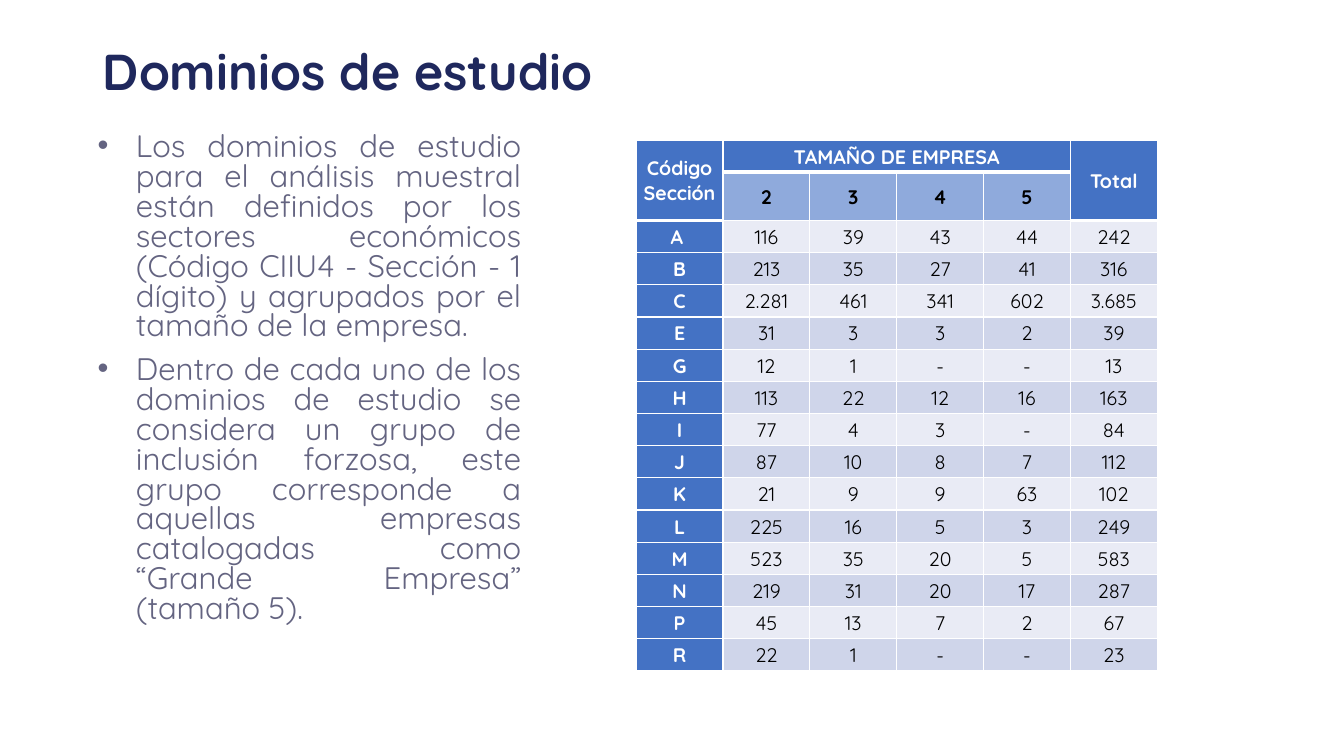
"""Build the slide on study domains with a table of counts by section and company size."""
from dataclasses import dataclass

from lxml.etree import SubElement
from pptx import Presentation
from pptx.dml.color import RGBColor
from pptx.enum.text import MSO_ANCHOR as ANCHOR, PP_ALIGN as ALIGN
from pptx.oxml.ns import qn
from pptx.slide import Slide
from pptx.table import _Cell as Cell
from pptx.text.text import TextFrame, _Paragraph as Paragraph
from pptx.util import Inches, Pt

FONT = "Quicksand"
NAVY = RGBColor(0x1F, 0x28, 0x5D)
SLATE = RGBColor(0x64, 0x64, 0x81)
BLUE = RGBColor(0x44, 0x72, 0xC4)
LIGHT_BLUE = RGBColor(0x8F, 0xAA, 0xDC)
BANDS = (RGBColor(0xE9, 0xEB, 0xF5), RGBColor(0xCF, 0xD5, 0xEA))
WHITE = RGBColor(0xFF, 0xFF, 0xFF)
BLACK = RGBColor(0x00, 0x00, 0x00)

BULLETS = (
    "Los dominios de estudio para el análisis muestral están definidos por los "
    "sectores económicos (Código CIIU4 - Sección - 1 dígito) y agrupados por el "
    "tamaño de la empresa.",
    "Dentro de cada uno de los dominios de estudio se considera un grupo de "
    "inclusión forzosa, este grupo corresponde a aquellas empresas catalogadas "
    "como “Grande Empresa” (tamaño 5).",
)
ROWS = (
    ("Código Sección", "TAMAÑO DE EMPRESA", "", "", "", "Total"),
    ("", "2", "3", "4", "5", ""),
    ("A ", "116", "39", "43", "44", "242"),
    ("B", "213", "35", "27", "41", "316"),
    ("C", "2.281", "461", "341", "602", "3.685"),
    ("E", "31", "3", "3", "2", "39"),
    ("G", "12", "1", "-", "-", "13"),
    ("H", "113", "22", "12", "16", "163"),
    ("I", "77", "4", "3", "-", "84"),
    ("J", "87", "10", "8", "7", "112"),
    ("K", "21", "9", "9", "63", "102"),
    ("L", "225", "16", "5", "3", "249"),
    ("M", "523", "35", "20", "5", "583"),
    ("N", "219", "31", "20", "17", "287"),
    ("P", "45", "13", "7", "2", "67"),
    ("R", "22", "1", "-", "-", "23"),
)
MERGES = (((0, 0), (1, 0)), ((0, 1), (0, 4)), ((0, 5), (1, 5)))


@dataclass(frozen=True)
class Style:
    size: float
    color: RGBColor
    bold: bool = False


@dataclass(frozen=True)
class CellStyle:
    fill: RGBColor
    text: Style


HEADER = CellStyle(BLUE, Style(14, WHITE, True))
SIZE_HEADER = CellStyle(LIGHT_BLUE, Style(14, BLACK, True))
BODY = tuple(CellStyle(band, Style(14, BLACK)) for band in BANDS)


def write(p: Paragraph, text: str, style: Style) -> None:
    p.text = text
    for r in p.runs:
        r.font.name = FONT
        r.font.size = Pt(style.size)
        r.font.bold = style.bold
        r.font.color.rgb = style.color


def add_text_box(s: Slide, x: float, y: float, w: float, h: float) -> TextFrame:
    tf = s.shapes.add_textbox(Inches(x), Inches(y), Inches(w), Inches(h)).text_frame
    tf.word_wrap = True
    return tf


def add_title(s: Slide) -> None:
    tf = add_text_box(s, 0.92, 0.37, 8.46, 0.74)
    tf.vertical_anchor = ANCHOR.MIDDLE
    p = tf.paragraphs[0]
    p.line_spacing = 0.9
    write(p, "Dominios de estudio", Style(36, NAVY, True))


def add_bullets(s: Slide) -> None:
    tf = add_text_box(s, 0.87, 1.28, 4.4, 5.72)
    for i, text in enumerate(BULLETS):
        p = tf.add_paragraph() if i else tf.paragraphs[0]
        write(p, text, Style(22.2, SLATE))
        p.alignment = ALIGN.JUSTIFY
        p.line_spacing = 0.8
        p.space_before = Pt(10)
        pPr = p._p.get_or_add_pPr()
        pPr.set("marL", str(Inches(0.38)))
        pPr.set("indent", str(Inches(-0.38)))
        SubElement(pPr, qn("a:buFont"), typeface="Arial")
        SubElement(pPr, qn("a:buChar"), char="•")


def add_border(cell: Cell, side: str, width: float) -> None:
    ln = SubElement(cell._tc.get_or_add_tcPr(), qn(f"a:ln{side}"), w=str(Pt(width)))
    fill = SubElement(ln, qn("a:solidFill"))
    SubElement(fill, qn("a:srgbClr"), val=str(WHITE))


def cell_style(row: int, col: int) -> CellStyle:
    if row == 0 or col == 0 or (row == 1 and col == 5):
        return HEADER
    return SIZE_HEADER if row == 1 else BODY[row % 2]


def format_cell(cell: Cell, text: str, style: CellStyle, bottom: float) -> None:
    for side in "LRT":
        add_border(cell, side, 1)
    add_border(cell, "B", bottom)
    cell.fill.solid()
    cell.fill.fore_color.rgb = style.fill
    cell.vertical_anchor = ANCHOR.MIDDLE
    cell.margin_left = cell.margin_right = cell.margin_top = Inches(0.01)
    cell.margin_bottom = 0
    p = cell.text_frame.paragraphs[0]
    write(p, text, style.text)
    p.alignment = ALIGN.CENTER


def add_counts_table(s: Slide) -> None:
    n_rows, n_cols = len(ROWS), len(ROWS[0])
    table = s.shapes.add_table(
        n_rows, n_cols, Inches(6.31), Inches(1.39), Inches(5.17), Inches(5.11)
    ).table
    for start, end in MERGES:
        table.cell(*start).merge(table.cell(*end))
    for i, row in enumerate(ROWS):
        for j, text in enumerate(row):
            cell = table.cell(i, j)
            bottom = 3 if i == 0 or cell.is_spanned else 1
            format_cell(cell, text, cell_style(i, j), bottom)


def main() -> None:
    prs = Presentation()
    prs.slide_width, prs.slide_height = Inches(13.33), Inches(7.5)
    s = prs.slides.add_slide(prs.slide_layouts[6])
    add_title(s)
    add_bullets(s)
    add_counts_table(s)
    prs.save("out.pptx")


if __name__ == "__main__":
    main()
